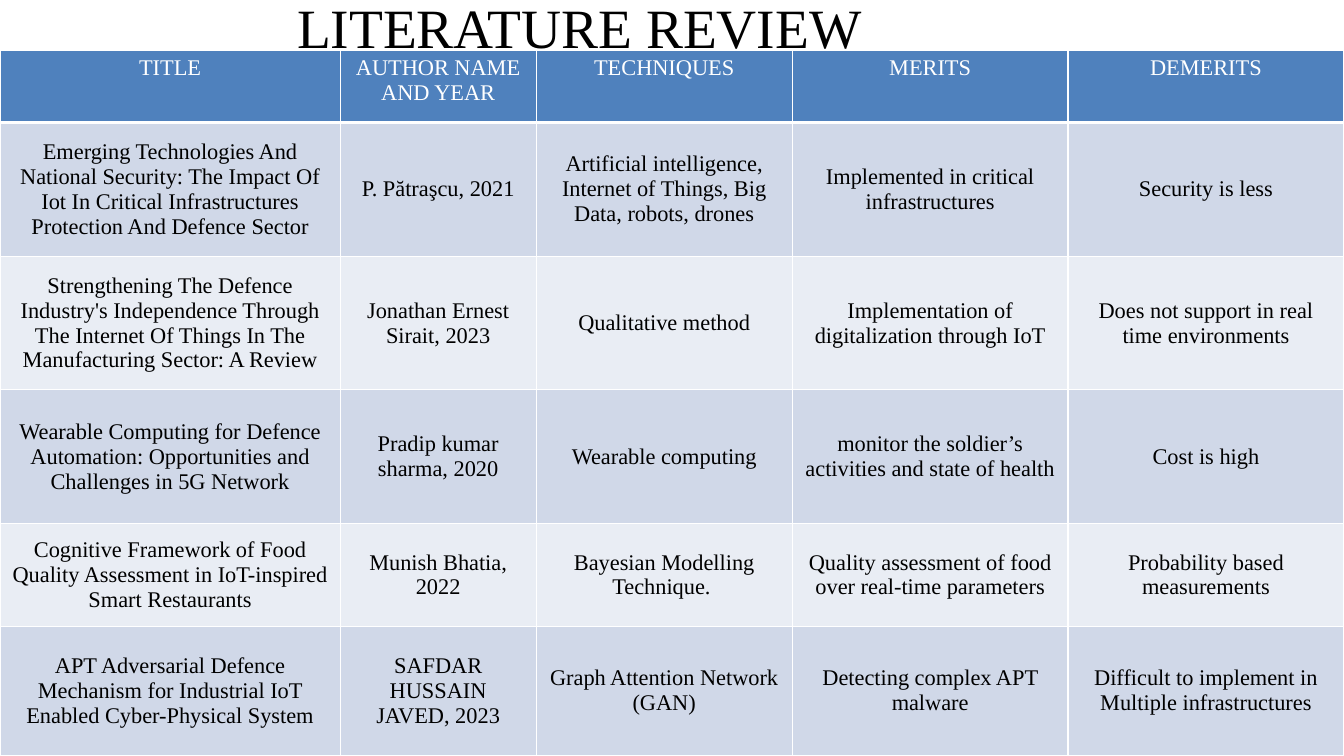
"""Build the literature review slide: a title above a full-width table."""
from lxml import etree
from pptx import Presentation
from pptx.dml.color import RGBColor
from pptx.enum import text
from pptx.oxml import ns
from pptx.util import Pt

FACE = "Times New Roman"
WIDTHS = [243, 140, 183, 197, 197]
HEIGHTS = [51.5, 95.5, 95.5, 95.5, 73.5, 92]
FILLS = ["E9EDF4", "D0D8E8"]
ROWS = [
    ["TITLE", "AUTHOR NAME AND YEAR", "TECHNIQUES", "MERITS", "DEMERITS"],
    ["Emerging Technologies And National Security: The Impact Of Iot In "
     "Critical Infrastructures Protection And Defence Sector",
     "P. Pătraşcu, 2021",
     "Artificial intelligence, Internet of Things, Big Data, robots, drones",
     "Implemented in critical infrastructures", "Security is less"],
    ["Strengthening The Defence Industry's Independence Through The Internet "
     "Of Things In The Manufacturing Sector: A Review",
     "Jonathan Ernest Sirait, 2023", "Qualitative method",
     "Implementation of digitalization through IoT",
     "Does not support in real time environments"],
    ["Wearable Computing for Defence Automation: Opportunities and "
     "Challenges in 5G Network",
     "Pradip kumar sharma, 2020", "Wearable computing",
     "monitor the soldier’s activities and state of health", "Cost is high"],
    ["Cognitive Framework of Food Quality Assessment in IoT-inspired "
     "Smart Restaurants",
     "Munish Bhatia, 2022", "Bayesian Modelling Technique. ",
     "Quality assessment of food over real-time parameters",
     "Probability based measurements"],
    ["APT Adversarial Defence Mechanism for Industrial IoT Enabled "
     "Cyber-Physical System",
     "SAFDAR HUSSAIN JAVED, 2023", "Graph Attention Network (GAN)",
     "Detecting complex APT malware",
     "Difficult to implement in Multiple infrastructures"],
]


def color(code):
    """Turn a hex string into a colour."""
    return RGBColor.from_string(code)


def style(frame, size, code):
    """Centre the text and set its font."""
    line = frame.paragraphs[0]
    line.alignment = text.PP_ALIGN.CENTER
    font = line.runs[0].font
    for name, value in {"name": FACE, "size": Pt(size), "bold": False}.items():
        setattr(font, name, value)
    font.color.rgb = color(code)


deck = Presentation()
deck.slide_width, deck.slide_height = Pt(960), Pt(540)
slide = deck.slides.add_slide(deck.slide_layouts[5])

title = slide.shapes.title
for name, value in {"left": 0, "top": 0, "width": 828, "height": 38}.items():
    setattr(title, name, Pt(value))
frame = title.text_frame
frame.text = "LITERATURE REVIEW"
frame.auto_size = text.MSO_AUTO_SIZE.NONE
frame.vertical_anchor = text.MSO_ANCHOR.MIDDLE
style(frame, 39.6, "000000")

table = slide.shapes.add_table(len(ROWS), len(WIDTHS), 0, Pt(36),
                               Pt(sum(WIDTHS)), Pt(sum(HEIGHTS))).table
for column, width in zip(table.columns, WIDTHS):
    column.width = Pt(width)
for r, (row, height) in enumerate(zip(ROWS, HEIGHTS)):
    table.rows[r].height = Pt(height)
    for c, words in enumerate(row):
        cell = table.cell(r, c)
        cell.text = words
        style(cell.text_frame, 16, "000000" if r else "FFFFFF")
        cell.vertical_anchor = text.MSO_ANCHOR.MIDDLE if r else text.MSO_ANCHOR.TOP
        props = cell._tc.get_or_add_tcPr()
        for side in "LRTB":
            thick = (r, side) in [(0, "B"), (1, "T")]
            edge = etree.SubElement(props, ns.qn("a:ln" + side),
                                    w=str(Pt(3 if thick else 1)))
            paint = etree.SubElement(edge, ns.qn("a:solidFill"))
            etree.SubElement(paint, ns.qn("a:srgbClr"), val="FFFFFF")
        cell.fill.solid()
        cell.fill.fore_color.rgb = color(FILLS[r % 2] if r else "4F81BD")

deck.save("out.pptx")
